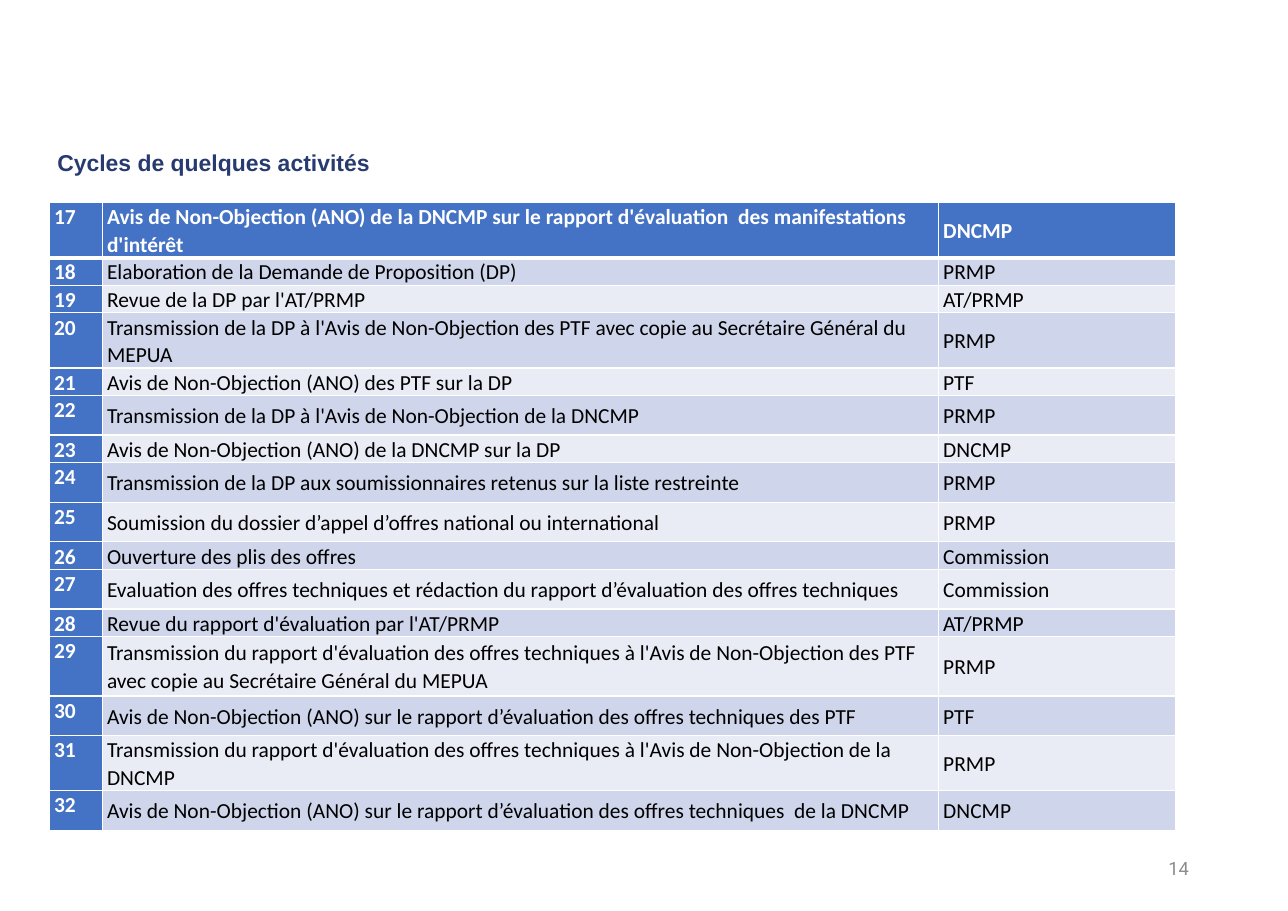
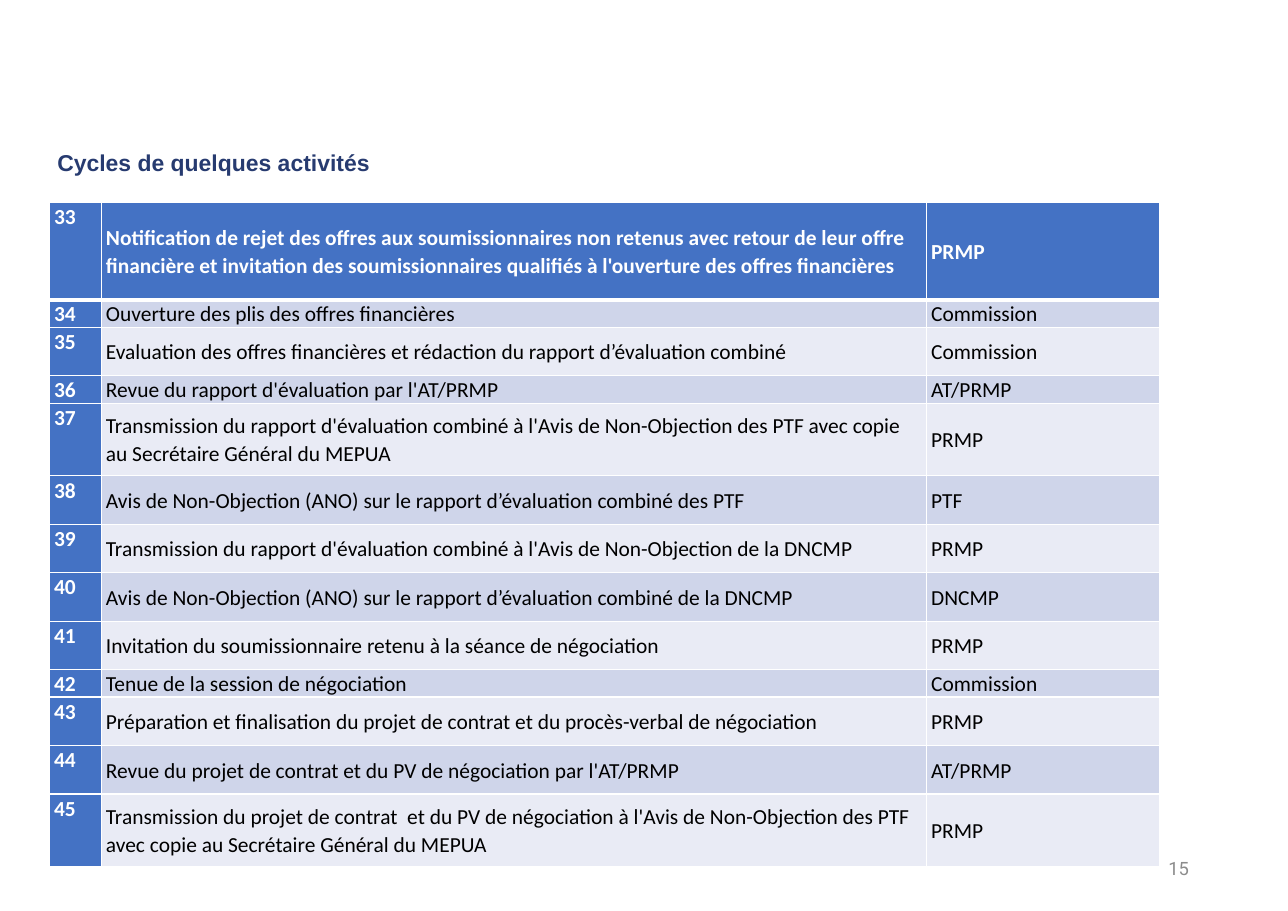
from pptx import Presentation
from pptx.dml.color import RGBColor
from pptx.enum.text import MSO_ANCHOR, PP_ALIGN
from pptx.oxml.ns import qn
from pptx.util import Pt
from lxml.etree import SubElement

HEX = {"navy": "273B70", "grey": "8C8C8C", "blue": "4472C4", "white": "FFFFFF",
       "black": "000000", "dark": "CFD5EA", "light": "E9EBF5"}
TITLE = "Cycles de quelques activités"
TITLE_BOX = (30.24, 95.76, 354.96, 24.48)
PAGE_BOX = (594.72, 551.52, 189.36, 31.68)

# Each row: height in units, activity, person in charge
OFFERS = [
    (2, "Avis de Non-Objection (ANO) de la DNCMP sur le rapport d'évaluation  des manifestations d'intérêt", "DNCMP"),
    (1, "Elaboration de la Demande de Proposition (DP)", "PRMP"),
    (1, "Revue de la DP par l'AT/PRMP", "AT/PRMP"),
    (2, "Transmission de la DP à l'Avis de Non-Objection des PTF avec copie au Secrétaire Général du MEPUA", "PRMP"),
    (1, "Avis de Non-Objection (ANO) des PTF sur la DP", "PTF"),
    (2, "Transmission de la DP à l'Avis de Non-Objection de la DNCMP", "PRMP"),
    (1, "Avis de Non-Objection (ANO) de la DNCMP sur la DP", "DNCMP"),
    (2, "Transmission de la DP aux soumissionnaires retenus sur la liste restreinte", "PRMP"),
    (2, "Soumission du dossier d’appel d’offres national ou international", "PRMP"),
    (1, "Ouverture des plis des offres", "Commission"),
    (2, "Evaluation des offres techniques et rédaction du rapport d’évaluation des offres techniques", "Commission"),
    (1, "Revue du rapport d'évaluation par l'AT/PRMP", "AT/PRMP"),
    (3, "Transmission du rapport d'évaluation des offres techniques à l'Avis de Non-Objection des PTF avec copie au Secrétaire Général du MEPUA", "PRMP"),
    (2, "Avis de Non-Objection (ANO) sur le rapport d’évaluation des offres techniques des PTF", "PTF"),
    (2, "Transmission du rapport d'évaluation des offres techniques à l'Avis de Non-Objection de la DNCMP", "PRMP"),
    (2, "Avis de Non-Objection (ANO) sur le rapport d’évaluation des offres techniques  de la DNCMP", "DNCMP"),
]
DEALS = [
    (4, "Notification de rejet des offres aux soumissionnaires non retenus avec retour de leur offre financière et invitation des soumissionnaires qualifiés à l'ouverture des offres financières", "PRMP"),
    (1, "Ouverture des plis des offres financières", "Commission"),
    (2, "Evaluation des offres financières et rédaction du rapport d’évaluation combiné", "Commission"),
    (1, "Revue du rapport d'évaluation par l'AT/PRMP", "AT/PRMP"),
    (3, "Transmission du rapport d'évaluation combiné à l'Avis de Non-Objection des PTF avec copie au Secrétaire Général du MEPUA", "PRMP"),
    (2, "Avis de Non-Objection (ANO) sur le rapport d’évaluation combiné des PTF", "PTF"),
    (2, "Transmission du rapport d'évaluation combiné à l'Avis de Non-Objection de la DNCMP", "PRMP"),
    (2, "Avis de Non-Objection (ANO) sur le rapport d’évaluation combiné de la DNCMP", "DNCMP"),
    (2, "Invitation du soumissionnaire retenu à la séance de négociation", "PRMP"),
    (1, "Tenue de la session de négociation", "Commission"),
    (2, "Préparation et finalisation du projet de contrat et du procès-verbal de négociation", "PRMP"),
    (2, "Revue du projet de contrat et du PV de négociation par l'AT/PRMP", "AT/PRMP"),
    (3, "Transmission du projet de contrat  et du PV de négociation à l'Avis de Non-Objection des PTF avec copie au Secrétaire Général du MEPUA", "PRMP"),
]
PAGES = [
    {"page": 14, "first": 17, "rows": OFFERS, "unit": 12.96,
     "cols": (34.56, 546.48, 154.8), "box": (32.4, 132.48, 735.84, 409.68)},
    {"page": 15, "first": 33, "rows": DEALS, "unit": 15.84,
     "cols": (33.84, 539.28, 152.64), "box": (32.4, 132.48, 725.76, 431.28)},
]


def rgb(name):
    return RGBColor.from_string(HEX[name])


def apply(item, **form):
    for key, value in form.items():
        setattr(item, key, value)


def write(frame, text, tint, para, **font):
    """Put one formatted paragraph in a text frame."""
    line = frame.paragraphs[0]
    run = line.add_run()
    run.text = text
    apply(line, **para)
    apply(run.font, **font)
    run.font.color.rgb = rgb(tint)


def add_title(slide, box):
    title = slide.shapes.title
    apply(title, **dict(zip(("left", "top", "width", "height"), map(Pt, box))))
    apply(title.text_frame, vertical_anchor=MSO_ANCHOR.TOP, word_wrap=True)
    write(title.text_frame, TITLE, "navy",
          {"alignment": PP_ALIGN.LEFT, "line_spacing": 0.9, "space_before": Pt(10)},
          name="Arial", size=Pt(15), bold=True)


def add_page(slide, box, number):
    frame = slide.shapes.add_textbox(*map(Pt, box)).text_frame
    apply(frame, vertical_anchor=MSO_ANCHOR.MIDDLE, word_wrap=True)
    write(frame, str(number), "grey", {"alignment": PP_ALIGN.RIGHT},
          name="Roboto", size=Pt(12))


def rule(cell, row):
    """Draw white borders, thick between the first row and the next."""
    props = cell._tc.get_or_add_tcPr()
    sides = {"L": 1, "R": 1, "T": 3 if row == 1 else 1, "B": 3 if row == 0 else 1}
    for side, width in sides.items():
        line = SubElement(props, qn(f"a:ln{side}"), w=str(Pt(width)))
        fill = SubElement(line, qn("a:solidFill"))
        SubElement(fill, qn("a:srgbClr"), val=HEX["white"])


def fill_cell(cell, text, row, col):
    head = row == 0 or col == 0
    rule(cell, row)
    cell.fill.solid()
    cell.fill.fore_color.rgb = rgb("blue" if head else "dark" if row % 2 else "light")
    apply(cell, margin_left=Pt(3), margin_right=Pt(3), margin_top=0, margin_bottom=0,
          vertical_anchor=MSO_ANCHOR.MIDDLE if col else MSO_ANCHOR.TOP)
    write(cell.text_frame, text, "white" if head else "black", {"line_spacing": 1.07},
          name="Calibri", size=Pt(14), bold=head)


def add_steps(slide, box, first, rows, unit, cols):
    """Add the table of numbered steps."""
    table = slide.shapes.add_table(len(rows), len(cols), *map(Pt, box)).table
    table.horz_banding = False
    for col, width in enumerate(cols):
        table.columns[col].width = Pt(width)
    for row, (units, task, owner) in enumerate(rows):
        table.rows[row].height = Pt(units * unit)
        for col, text in enumerate((str(first + row), task, owner)):
            fill_cell(table.cell(row, col), text, row, col)


def add_slide(deck, page, **steps):
    slide = deck.slides.add_slide(deck.slide_layouts[5])
    add_page(slide, PAGE_BOX, page)
    add_title(slide, TITLE_BOX)
    add_steps(slide, **steps)


def main():
    deck = Presentation()
    apply(deck, slide_width=Pt(841.68), slide_height=Pt(595.44))
    for page in PAGES:
        add_slide(deck, **page)
    deck.save("out.pptx")


if __name__ == "__main__":
    main()
